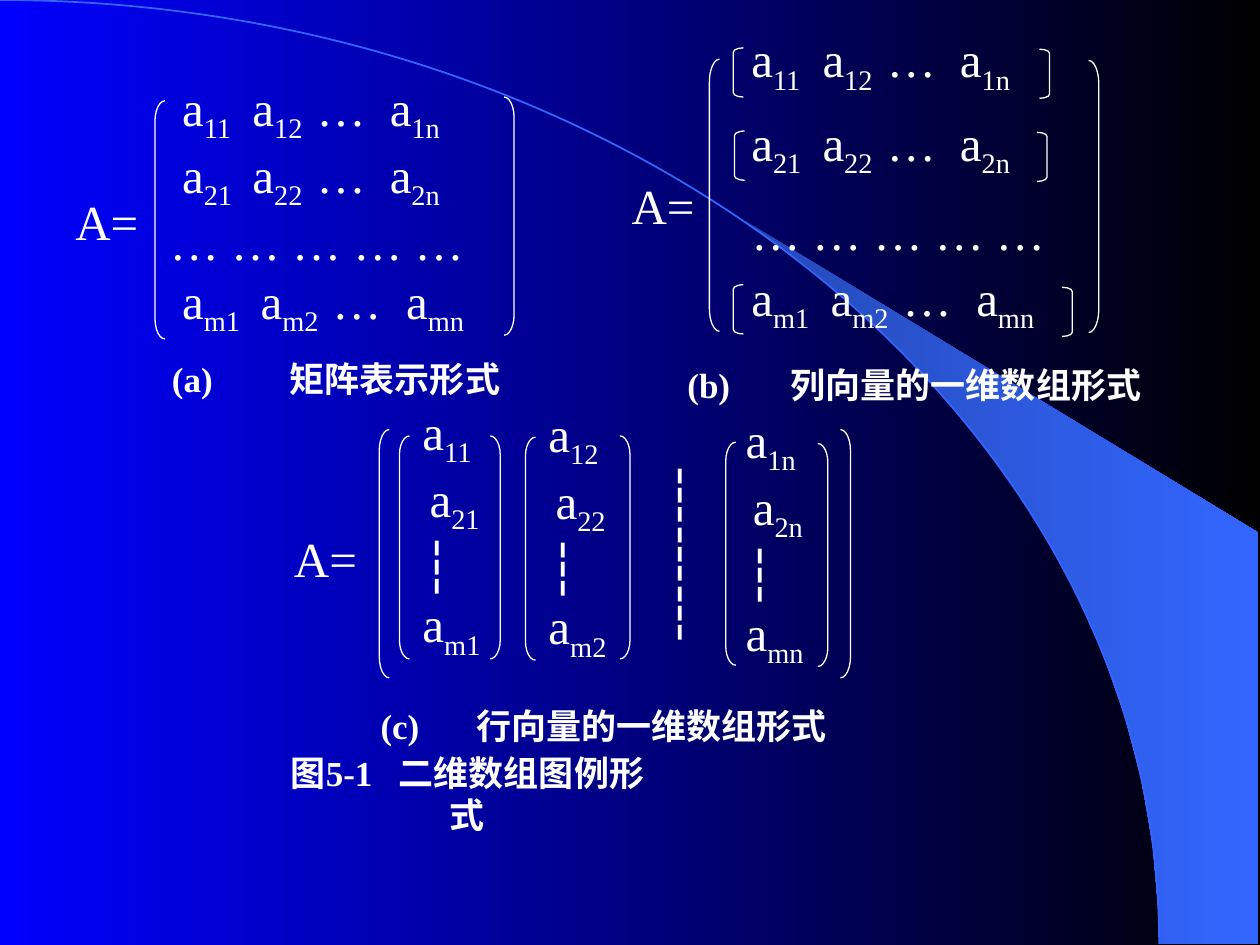
from math import cos, radians, sin

from lxml import etree
from pptx import Presentation
from pptx import util as u
from pptx.dml.color import RGBColor
from pptx.enum import shapes, text
from pptx.oxml.ns import qn

WHITE = RGBColor(0xFF, 0xFF, 0xFF)
BLACK = RGBColor(0x00, 0x00, 0x00)
BLUE = RGBColor(0x00, 0x00, 0xFF)
SWOOSH_DARK = RGBColor(0x24, 0x49, 0xB6)
SWOOSH_LIGHT = RGBColor(0x33, 0x66, 0xFF)
SERIF, SANS = "Times New Roman", "Arial"

deck = Presentation()
deck.slide_width, deck.slide_height = u.Inches(10), u.Inches(7.5)
slide = deck.slides.add_slide(deck.slide_layouts[6])

# Grid of 100 columns by 75 rows
COL, ROW = deck.slide_width / 100, deck.slide_height / 75


def blend(fill, start, end):
    """Left-to-right gradient between two colours."""
    fill.gradient()
    fill.gradient_angle = 0
    for stop, color, position in zip(fill.gradient_stops, (start, end), (0, 1)):
        stop.color.rgb, stop.position = color, position


def write(left, top, width, height, lines, caption=False, centred=False,
          wrap=False, inset=1, tabs=()):
    """Text box; parts between underscores are subscripts, or sans in a caption."""
    box = slide.shapes.add_textbox(int(left * COL), int(top * ROW),
                                   int(width * COL), int(height * ROW))
    frame = box.text_frame
    frame.word_wrap = wrap
    frame.vertical_anchor = text.MSO_ANCHOR.MIDDLE
    frame.margin_left = int(inset * COL)
    frame.margin_right = frame.margin_left if centred else 0
    for row, line in enumerate(lines):
        paragraph = frame.paragraphs[0] if row == 0 else frame.add_paragraph()
        paragraph.alignment = text.PP_ALIGN.CENTER if centred else text.PP_ALIGN.LEFT
        if tabs:
            stops = etree.SubElement(paragraph._p.get_or_add_pPr(), qn("a:tabLst"))
            # Rows led by the wider letter m have wider gaps
            for stop in tabs[-1] if "m1" in line else tabs[0]:
                etree.SubElement(stops, qn("a:tab"), pos=str(int(stop * COL)), algn="l")
        for index, part in enumerate(line.split("_")):
            if not part:
                continue
            run = paragraph.add_run()
            run.text = part
            run.font.size = u.Pt(20 if caption else 28)
            run.font.bold = caption
            run.font.color.rgb = WHITE
            run.font.name = SANS if caption and index % 2 else SERIF
            if index % 2 and not caption:
                run.font._element.set("baseline", "-25000")
            if caption and part == " ":
                run.font._element.set("spc", "1000")


# Background
blend(slide.background.fill, BLUE, BLACK)

# Swoosh: the lower part of the arc, closed along the right edge
swoosh = [(92 * sin(radians(a)), 74.9 - 74.9 * cos(radians(a))) for a in range(40, 91, 4)]
swoosh += [(92, 74.9), (99.9, 74.9), (99.9, 42.3)]
points = [(int(x * COL), int(y * ROW)) for x, y in swoosh]
builder = slide.shapes.build_freeform(*points[0])
builder.add_line_segments(points[1:], close=True)
band = builder.convert_to_shape()
band.shadow.inherit = False
blend(band.fill, SWOOSH_DARK, SWOOSH_LIGHT)
band.line.fill.background()

# Arc: one segment turned into a quarter-ellipse curve
end_x, end_y = int(92 * COL), int(74.9 * ROW)
builder = slide.shapes.build_freeform(0, 0)
builder.add_line_segments([(end_x, end_y)], close=False)
arc = builder.convert_to_shape()
arc.shadow.inherit = False
arc.fill.background()
arc.line.color.rgb, arc.line.width = SWOOSH_LIGHT, u.Pt(1)
segment = next(arc._element.iter(qn("a:lnTo")))
segment.tag = qn("a:cubicBezTo")
for place, (x, y) in enumerate(((0.55 * end_x, 0), (end_x, 0.45 * end_y))):
    control = etree.Element(qn("a:pt"), x=str(int(x)), y=str(int(y)))
    segment.insert(place, control)

# Brackets: left edge, left top, right edge, right top, height
BRACKETS = [
    (12.3, 8, 40, 7.7, 18.9),          # (a) matrix
    (56.3, 4.7, 86.4, 4.8, 21.6),      # (b) outer
    (58.2, 3.8, 82.5, 3.9, 3.9),       # (b) rows
    (58.3, 10.4, 82.3, 10.5, 3.9),
    (58.2, 22.6, 84.3, 22.8, 3.9),
    (30.1, 34.1, 66.7, 34.1, 19.7),    # (c) outer
    (31.7, 34.6, 38.9, 34.6, 17.7),    # (c) columns
    (41.7, 34.7, 49.2, 34.6, 17.7),
    (57.6, 35.1, 64.9, 35.2, 17.7),
]
for left, left_top, right, right_top, height in BRACKETS:
    for kind, x, y in ((shapes.MSO_SHAPE.LEFT_BRACKET, left, left_top),
                       (shapes.MSO_SHAPE.RIGHT_BRACKET, right, right_top)):
        bracket = slide.shapes.add_shape(kind, int(x * COL), int(y * ROW),
                                         int(0.8 * COL), int(height * ROW))
        bracket.adjustments[0] = 0.107 * height
        bracket.shadow.inherit = False
        bracket.fill.background()
        bracket.line.color.rgb, bracket.line.width = WHITE, u.Pt(0.75)

# Matrix rows, with tab stops for the usual rows and for row m
rows = {i: f"a_{i}1_\ta_{i}2_\t…\ta_{i}n_" for i in "12m"}
dots = "… … … … …"
stops = ((5.65, 10.75, 16.55), (6.3, 12, 17.85))
indented = [[stop + 0.9 for stop in group] for group in stops]

# (a) Whole matrix
write(12.5, 6.8, 27.2, 19.3, [" " + rows["1"], " " + rows["2"], dots, " " + rows["m"]],
      wrap=True, tabs=indented)

# (b) One vector per row
for top, line in ((3, rows["1"]), (9.6, rows["2"]), (16.4, dots), (21.9, rows["m"])):
    write(58.65, top, 25, 3.9, [line], wrap=True, tabs=stops)

# (c) One vector per column
for left, top, height, j in ((32.55, 32.1, 20.1, "1"), (42.55, 32.25, 20.1, "2"),
                             (58.2, 32.95, 19.7, "n")):
    write(left, top, 6.7, height, [f"a_1{j}_", f"_ _a_2{j}_", "┆", f"a_m{j}_"])
write(51.25, 34.95, 5.5, 17.7, ["┆"] * 3, centred=True)

# Matrix names
for left, top, width, height in ((5, 15.2, 6.4, 4.7), (49.15, 13.9, 6.4, 4.7),
                                 (22.35, 41.3, 6.7, 5.9)):
    write(left, top, width, height, ["A="])

# Captions
for left, top, width, inset, stop, line in (
        (11.7, 27.95, 30, 1.95, 9.35, "(a)\t矩阵_表示形式"),
        (53, 28.4, 39.2, 1.55, 8.2, "(b)\t列向量的一维数组形式"),
        (28.3, 55.5, 39.2, 1.9, 7.6, "(c)\t_行向量的一维数组形式")):
    write(left, top, width, 4.2, [line], caption=True, wrap=True, inset=inset,
          tabs=((stop,),))
write(20, 60.9, 34.2, 4.2, ["_图_5-1__ _二维数组图_例形式"], caption=True, centred=True,
      wrap=True, inset=2)

deck.save("out.pptx")
